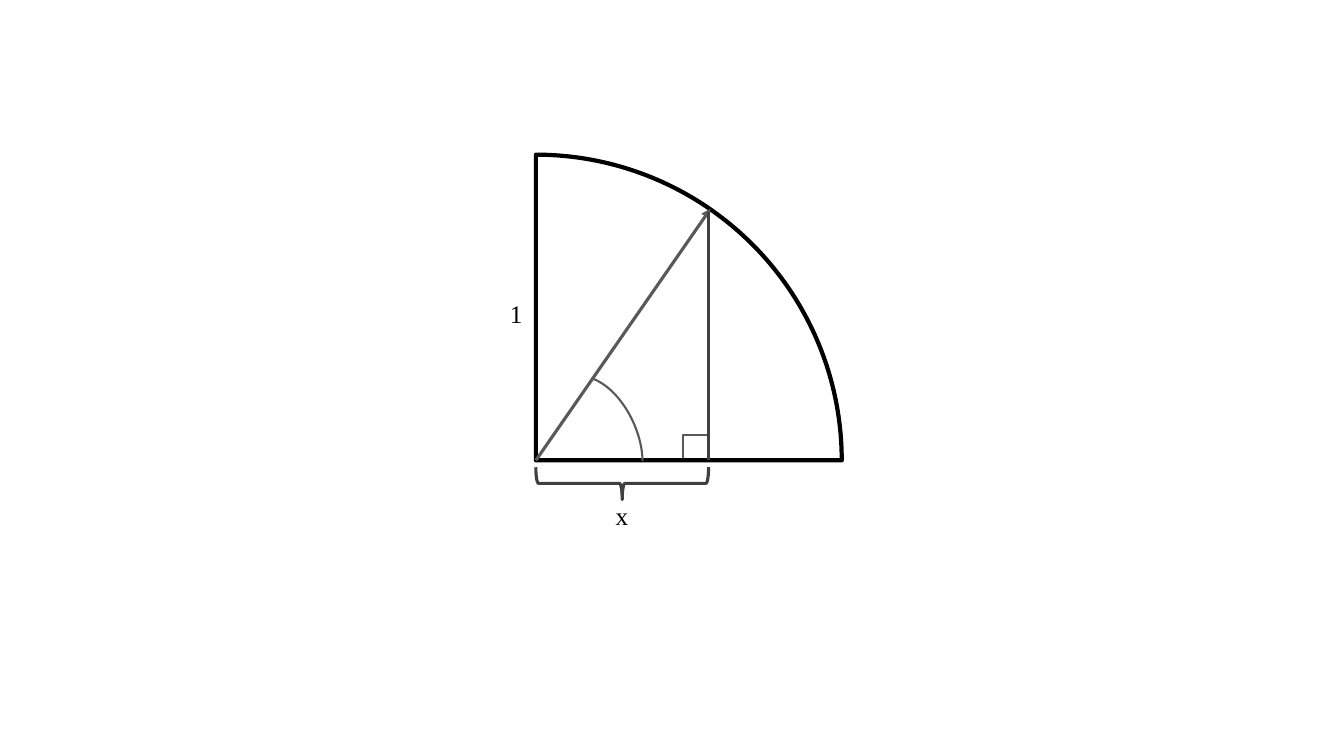
from dataclasses import dataclass

from lxml.etree import SubElement
from pptx import Presentation
from pptx.dml.color import RGBColor
from pptx.dml.line import LineFormat
from pptx.enum.shapes import MSO_CONNECTOR, MSO_SHAPE
from pptx.enum.text import MSO_AUTO_SIZE
from pptx.oxml.ns import qn
from pptx.shapes.shapetree import GroupShapes
from pptx.util import Inches, Pt

BLACK = RGBColor(0x00, 0x00, 0x00)
DARK = RGBColor(0x40, 0x40, 0x40)
GRAY = RGBColor(0x59, 0x59, 0x59)
FONT = "Times New Roman"

prs = Presentation()
prs.slide_width = Inches(13.33)
prs.slide_height = Inches(7.5)
COL = prs.slide_width / 160
ROW = prs.slide_height / 90

ORIGIN_X, ORIGIN_Y = 63.8, 54.8
RADIUS = 36.4
FOOT_X = 84.36
CORNER = 3
BASE = FOOT_X - ORIGIN_X
MID_X = ORIGIN_X + BASE / 2


@dataclass(frozen=True)
class Outline:
    kind: MSO_SHAPE
    cx: float
    cy: float
    w: float
    h: float
    color: RGBColor
    weight: float
    rotation: float = 0
    adjustments: tuple[float, ...] = ()


@dataclass(frozen=True)
class Segment:
    x1: float
    y1: float
    x2: float
    y2: float
    color: RGBColor
    arrow: bool = False


@dataclass(frozen=True)
class Label:
    text: str
    cx: float
    cy: float
    w: float = 3.96
    h: float = 4.8


def frame(item: Outline | Label) -> tuple[int, int, int, int]:
    return (round((item.cx - item.w / 2) * COL), round((item.cy - item.h / 2) * ROW),
            round(item.w * COL), round(item.h * ROW))


def style_line(line: LineFormat, color: RGBColor, weight: float) -> None:
    line.color.rgb = color
    line.width = Pt(weight)


def draw_outline(shapes: GroupShapes, item: Outline) -> None:
    sp = shapes.add_shape(item.kind, *frame(item))
    sp.shadow.inherit = False
    sp.fill.background()
    style_line(sp.line, item.color, item.weight)
    sp.rotation = item.rotation
    for i, value in enumerate(item.adjustments):
        sp.adjustments[i] = value


def draw_segment(shapes: GroupShapes, item: Segment) -> None:
    cxn = shapes.add_connector(MSO_CONNECTOR.STRAIGHT,
                               round(item.x1 * COL), round(item.y1 * ROW),
                               round(item.x2 * COL), round(item.y2 * ROW))
    style_line(cxn.line, item.color, 2.25)
    sp_pr = cxn._element.spPr
    if item.arrow:
        SubElement(sp_pr.find(qn("a:ln")), qn("a:tailEnd"), type="triangle")
    SubElement(sp_pr, qn("a:effectLst"))


def draw_label(shapes: GroupShapes, item: Label) -> None:
    tf = shapes.add_textbox(*frame(item)).text_frame
    tf.word_wrap = False
    tf.auto_size = MSO_AUTO_SIZE.SHAPE_TO_FIT_TEXT
    tf.text = item.text
    font = tf.paragraphs[0].runs[0].font
    font.name = FONT
    font.size = Pt(18)
    font.color.rgb = BLACK


ITEMS: list[Outline | Segment | Label] = [
    Outline(MSO_SHAPE.RECTANGLE, FOOT_X - CORNER / 2, ORIGIN_Y - CORNER / 2,
            CORNER, CORNER, GRAY, 1.5),
    Outline(MSO_SHAPE.PIE, ORIGIN_X, ORIGIN_Y, 2 * RADIUS, 2 * RADIUS, BLACK, 3, 270, (0, 54)),
    Segment(ORIGIN_X, ORIGIN_Y, 84.6, 24.84, GRAY, arrow=True),
    Outline(MSO_SHAPE.ARC, 71.22, 52.26, 15.72, 9.24, GRAY, 1.5, 66.3, (118.43, 192.18)),
    Segment(FOOT_X, 25.2, FOOT_X, ORIGIN_Y, DARK),
    Label("1", 61.5, 37.32),
    Label("x", MID_X, 61.32),
    Outline(MSO_SHAPE.LEFT_BRACE, MID_X, 57.54, 3.84, BASE, DARK, 2.25, 270),
]

DRAW = {Outline: draw_outline, Segment: draw_segment, Label: draw_label}


def main() -> None:
    s = prs.slides.add_slide(prs.slide_layouts[6])
    diagram = s.shapes.add_group_shape()
    for item in ITEMS:
        DRAW[type(item)](diagram.shapes, item)
    prs.save("out.pptx")


if __name__ == "__main__":
    main()
